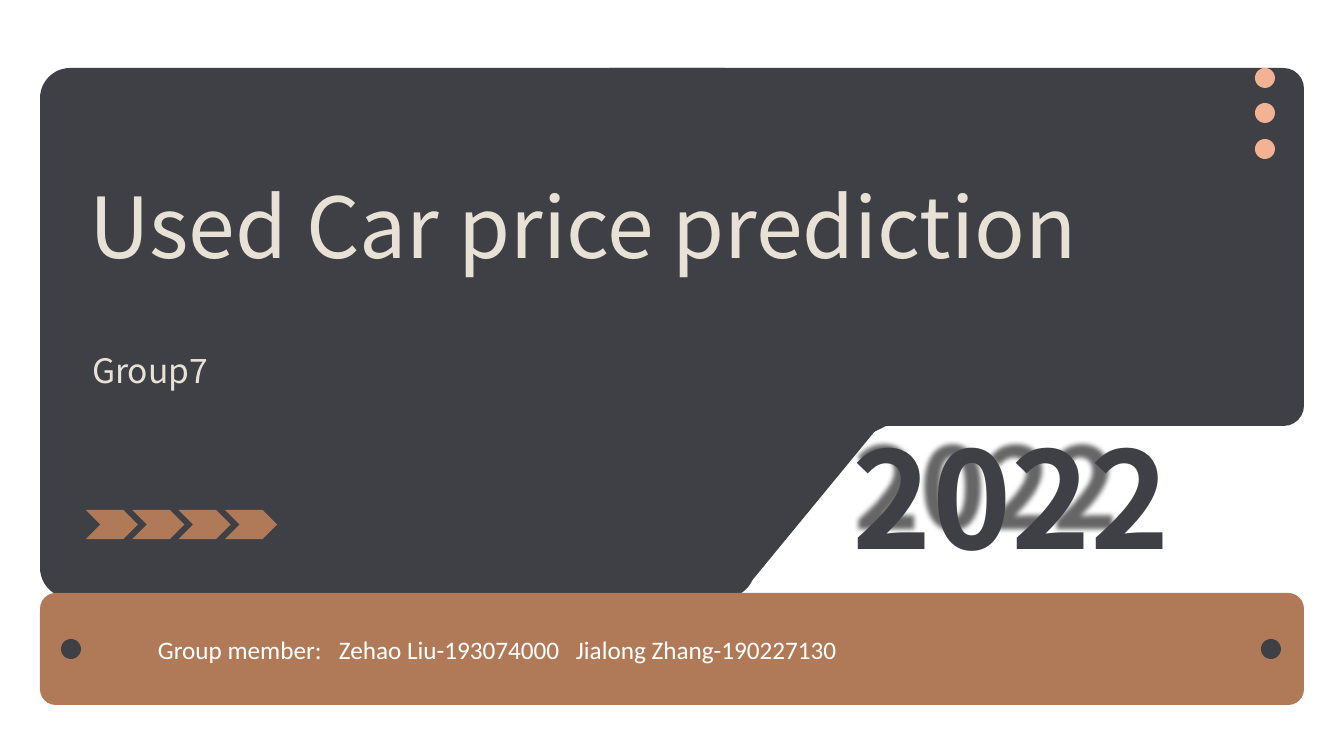
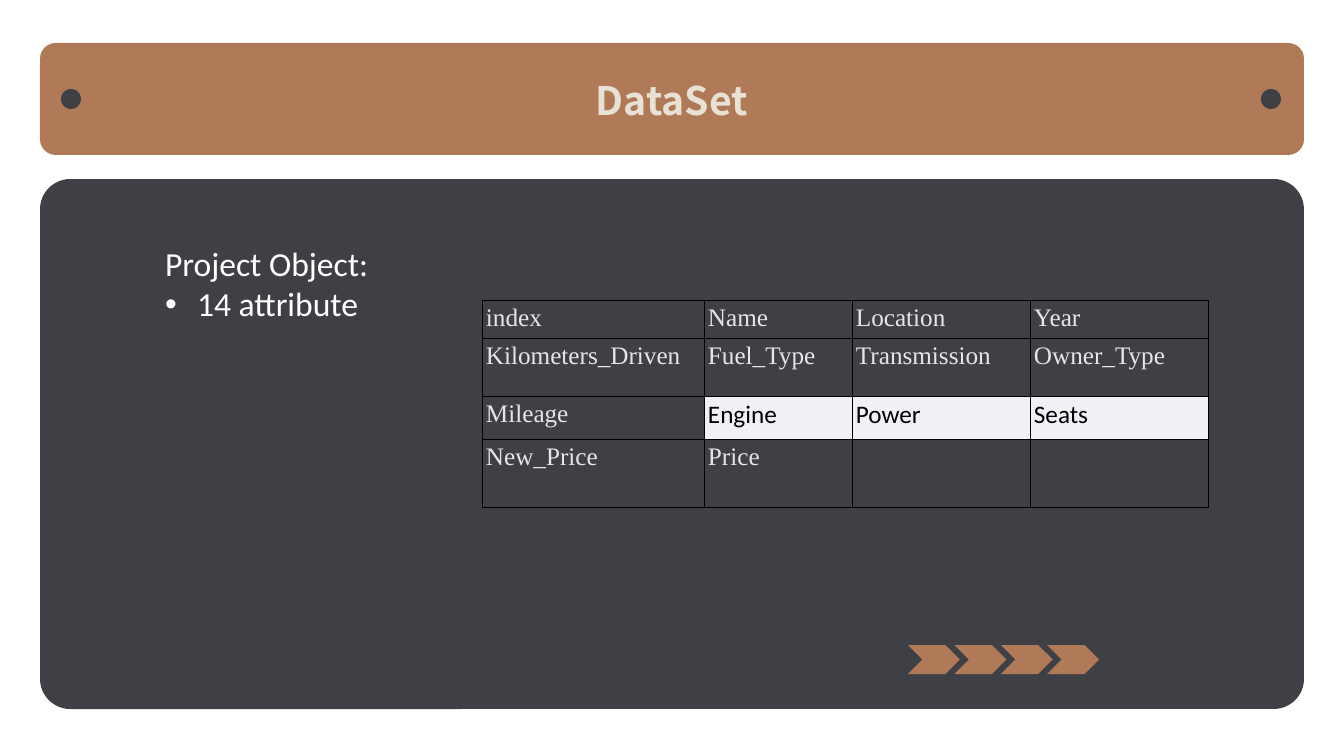
from lxml.etree import SubElement
from pptx import Presentation
from pptx.dml.color import RGBColor
from pptx.enum.shapes import MSO_SHAPE
from pptx.enum.text import MSO_ANCHOR, MSO_AUTO_SIZE, PP_ALIGN
from pptx.oxml.ns import qn
from pptx.util import Pt

EMU_PER_PIXEL = 914400 / 100.8
COLORS = {
    "charcoal": "3F3F46", "copper": "B07A58", "peach": "F2B293", "cream": "E8E2D6",
    "white": "FFFFFF", "black": "000000", "silver": "E7E6E6", "mist": "EFF1F5",
}
HEADING_FONT, BODY_FONT, TABLE_FONT = "Noto Sans CJK SC", "Calibri", "Times New Roman"
CARD_LEFT, CARD_WIDTH = 40, 1264
BAND_HEIGHT, DOT_SIZE = 112, 20
CARD_RADIUS, BAND_RADIUS = 0.057, 0.141

ATTRIBUTES = [
    ["index", "Name", "Location", "Year"],
    ["Kilometers_Driven", "Fuel_Type", "Transmission", "Owner_Type"],
    ["Mileage", "Engine", "Power", "Seats"],
    ["New_Price", "Price", "", ""],
]
HIGHLIGHTED = {"Engine", "Power", "Seats"}


def px(pixels):
    """Turn pixels into EMU."""
    return round(pixels * EMU_PER_PIXEL)


def rgb(color):
    """Look up a named colour."""
    return RGBColor.from_string(COLORS[color])


def add_node(parent, tag, **attributes):
    """Add an XML child with the given attributes."""
    return SubElement(parent, qn(tag), {key: str(value) for key, value in attributes.items()})


def paint(shape, color):
    """Give a shape a flat fill without line or shadow."""
    shape.shadow.inherit = False
    shape.fill.solid()
    shape.fill.fore_color.rgb = rgb(color)
    shape.line.fill.background()
    return shape


def add_block(slide, preset, box, color, radius=None):
    """Add a flat preset shape in a pixel box."""
    block = paint(slide.shapes.add_shape(preset, *map(px, box)), color)
    if radius is not None:
        block.adjustments[0] = radius
    return block


def add_card(slide, box):
    """Add a dark rounded card."""
    add_block(slide, MSO_SHAPE.ROUNDED_RECTANGLE, box, "charcoal", CARD_RADIUS)


def add_dot(slide, left, top, color):
    """Add a small round dot."""
    add_block(slide, MSO_SHAPE.OVAL, (left, top, DOT_SIZE, DOT_SIZE), color)


def add_band(slide, top):
    """Add the copper band with a dot at either end."""
    box = (CARD_LEFT, top, CARD_WIDTH, BAND_HEIGHT)
    add_block(slide, MSO_SHAPE.ROUNDED_RECTANGLE, box, "copper", BAND_RADIUS)
    for left in (61, 1261):
        add_dot(slide, left, top + 46, "charcoal")


def add_chevrons(slide, left, top):
    """Add a row of four chevrons."""
    for step in range(4):
        add_block(slide, MSO_SHAPE.CHEVRON, (left + 46.4 * step, top, 52, 29), "copper")


def style_paragraph(paragraph, text, size, color, font=BODY_FONT, bold=False,
                    align=PP_ALIGN.LEFT, spacing=1.0):
    """Write one paragraph and format it."""
    paragraph.text = text
    layout = {"alignment": align, "line_spacing": spacing,
              "space_before": Pt(0), "space_after": Pt(0)}
    for name, value in layout.items():
        setattr(paragraph, name, value)
    for run in paragraph.runs:
        for name, value in {"size": Pt(size), "name": font, "bold": bold}.items():
            setattr(run.font, name, value)
        run.font.color.rgb = rgb(color)


def fill_text(holder, box, lines, **style):
    """Place a text holder in front and write its lines."""
    for name, value in zip(("left", "top", "width", "height"), box):
        setattr(holder, name, px(value))
    holder.element.getparent().append(holder.element)
    frame = holder.text_frame
    settings = {"word_wrap": True, "auto_size": MSO_AUTO_SIZE.NONE,
                "vertical_anchor": MSO_ANCHOR.TOP}
    for name, value in settings.items():
        setattr(frame, name, value)
    for index, line in enumerate(lines):
        paragraph = frame.add_paragraph() if index else frame.paragraphs[0]
        style_paragraph(paragraph, line, **style)
    return frame.paragraphs


def add_text(slide, box, line, **style):
    """Add a one-line text box and return it."""
    text_box = slide.shapes.add_textbox(0, 0, 0, 0)
    fill_text(text_box, box, [line], **style)
    return text_box


def set_tabs(paragraph, stops):
    """Set left tab stops in pixels."""
    tabs = add_node(paragraph._p.get_or_add_pPr(), "a:tabLst")
    for stop in stops:
        add_node(tabs, "a:tab", pos=px(stop), algn="l")


def set_bullet(paragraph, indent, bullet=None):
    """Set the hanging indent and the bullet, or none."""
    properties = paragraph._p.get_or_add_pPr()
    properties.set("marL", str(px(indent)))
    properties.set("indent", str(px(-indent)))
    if bullet:
        add_node(properties, "a:buFont", typeface="Arial")
        add_node(properties, "a:buChar", char=bullet)
    else:
        add_node(properties, "a:buNone")


def add_year(slide):
    """Add the outlined year with its smaller blurred shadow."""
    year = add_text(slide, (843, 410, 462, 173), "2022", size=96, color="charcoal",
                    font=HEADING_FONT, bold=True, align=PP_ALIGN.JUSTIFY)
    run_properties = year.text_frame.paragraphs[0].runs[0]._r.get_or_add_rPr()
    outline = add_node(run_properties, "a:ln", w=Pt(6))
    add_node(add_node(outline, "a:solidFill"), "a:srgbClr", val=COLORS["charcoal"])
    run_properties.insert(0, outline)
    effects = add_node(year.element.spPr, "a:effectLst")
    shadow = add_node(effects, "a:outerShdw", blurRad=px(5), dist=px(4), dir=2700000,
                      sx=83000, sy=83000, algn="tl", rotWithShape=0)
    shade = add_node(shadow, "a:srgbClr", val=COLORS["black"])
    add_node(shade, "a:alpha", val=60000)


def add_cover_panel(slide):
    """Add the dark cover panel with its slanted lower edge."""
    add_card(slide, (589, 68, 715, 358))
    add_card(slide, (40, 68, 715, 530))
    slant = add_block(slide, MSO_SHAPE.RIGHT_TRIANGLE, (745, 223, 301, 366), "charcoal")
    slant.rotation = 180
    slant.element.spPr.xfrm.set("flipH", "1")
    corner = slide.shapes.build_freeform(872, 433, scale=EMU_PER_PIXEL)
    corner.add_line_segments([(896, 421), (892, 420), (885, 421), (877, 426)])
    paint(corner.convert_to_shape(), "charcoal")


def format_cell(cell, text):
    """Write a table cell with its borders and fill."""
    highlighted = text in HIGHLIGHTED
    for side in ("left", "right", "top", "bottom"):
        setattr(cell, f"margin_{side}", px(4))
    style_paragraph(cell.text_frame.paragraphs[0], text, 18,
                    "black" if highlighted else "silver",
                    BODY_FONT if highlighted else TABLE_FONT)
    properties = cell._tc.get_or_add_tcPr()
    for tag in ("a:lnL", "a:lnR", "a:lnT", "a:lnB"):
        border = add_node(properties, tag, w=Pt(0.75))
        add_node(add_node(border, "a:solidFill"), "a:srgbClr", val=COLORS["black"])
    if highlighted:
        cell.fill.solid()
        cell.fill.fore_color.rgb = rgb("mist")
    else:
        cell.fill.background()


def add_attribute_table(slide, left, top, widths, heights):
    """Add the table of data attributes."""
    frame = slide.shapes.add_table(len(heights), len(widths), px(left), px(top),
                                   px(sum(widths)), px(sum(heights)))
    table = frame.table
    table.first_row = table.horz_banding = False
    for column, width in zip(table.columns, widths):
        column.width = px(width)
    for row, height, names in zip(table.rows, heights, ATTRIBUTES):
        row.height = px(height)
        for cell, name in zip(row.cells, names):
            format_cell(cell, name)


def build_cover(deck):
    """Build the opening slide."""
    slide = deck.slides.add_slide(deck.slide_layouts[0])
    add_cover_panel(slide)
    heading = {"color": "cream", "font": HEADING_FONT}
    fill_text(slide.shapes.title, (79, 169, 1049, 112), ["Used Car price prediction"],
              size=60, **heading)
    fill_text(slide.placeholders[1], (82, 325, 715, 64), ["Group7"],
              size=24, spacing=1.5, **heading)
    add_band(slide, 593)
    for top in (68, 103, 139):
        add_dot(slide, 1255, top, "peach")
    add_year(slide)
    add_chevrons(slide, 86, 510)
    members = add_text(slide, (148, 629, 1097, 40),
                       "Group member:\tZehao Liu-193074000\tJialong Zhang-190227130",
                       size=18, color="white")
    set_tabs(members.text_frame.paragraphs[0], (181, 418))


def build_dataset(deck):
    """Build the slide on the data set."""
    slide = deck.slides.add_slide(deck.slide_layouts[1])
    add_card(slide, (CARD_LEFT, 179, CARD_WIDTH, 530))
    add_band(slide, 43)
    fill_text(slide.shapes.title, (498, 71, 348, 57), ["DataSet"], size=28, color="cream",
              font=HEADING_FONT, bold=True, align=PP_ALIGN.CENTER)
    add_chevrons(slide, 908, 645)
    lead, count = fill_text(slide.placeholders[1], (155, 238, 586, 132),
                            ["Project Object:", "14 attribute"], size=24, color="white")
    set_bullet(lead, 0)
    set_bullet(count, 32, "•")
    add_attribute_table(slide, 482, 300, (222, 148, 178, 179), (38, 58, 43, 69))


def main():
    """Build and save the deck."""
    deck = Presentation()
    deck.slide_width, deck.slide_height = px(1344), px(756)
    build_cover(deck)
    build_dataset(deck)
    deck.save("out.pptx")


main()
